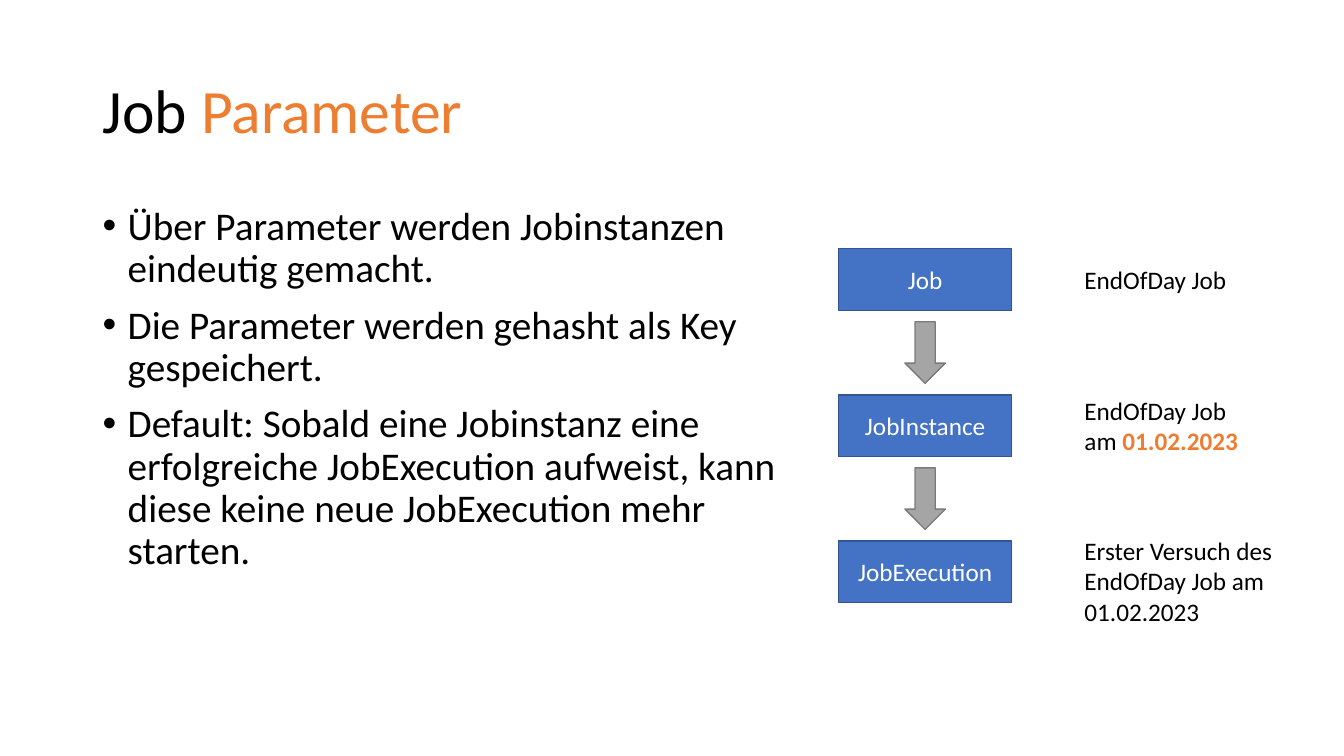
from lxml import etree
from pptx import Presentation
from pptx.dml.color import RGBColor
from pptx.enum.shapes import MSO_SHAPE
from pptx.enum.text import MSO_ANCHOR, MSO_AUTO_SIZE, PP_ALIGN
from pptx.oxml.ns import qn
from pptx.util import Cm, Pt

BLACK, WHITE, ORANGE = "000000", "FFFFFF", "ED7D31"
BLUE, DARK_BLUE, GREY, DARK_GREY = "4472C4", "325491", "A5A5A5", "7A7A7A"

TITLE = [("Job ", {}), ("Parameter", {"color": ORANGE})]
BULLETS = [
    "Über Parameter werden Jobinstanzen eindeutig gemacht.",
    "Die Parameter werden gehasht als Key gespeichert.",
    "Default: Sobald eine Jobinstanz eine erfolgreiche JobExecution aufweist, "
    "kann diese keine neue JobExecution mehr starten.",
]
# Box name, label spans, label width, label height, label shift down, wrapped
STEPS = [
    ("Job", [("EndOfDay Job", {})], 4.14, 1.02, 0, False),
    ("JobInstance",
     [("EndOfDay Job am ", {}), ("01.02.2023", {"color": ORANGE, "bold": True})],
     4.83, 1.8, 0, True),
    ("JobExecution", [("Erster Versuch des EndOfDay Job am 01.02.2023", {})],
     5.46, 2.57, 0.25, True),
]

BOX_LEFT, BOX_TOP, BOX_WIDTH, BOX_HEIGHT = 21.13, 6.27, 4.37, 1.55
STEP_PITCH = 3.68
ARROW_WIDTH, ARROW_HEIGHT = 1.02, 1.55
LABEL_LEFT = 27.08


def rgb(value):
    return RGBColor.from_string(value)


def place(shape, left, top, width, height):
    shape.left, shape.top = Cm(left), Cm(top)
    shape.width, shape.height = Cm(width), Cm(height)


def write(para, spans, size, color=BLACK):
    for text, changes in spans:
        span = para.add_run()
        span.text = text
        look = {"name": "Calibri", "size": Pt(size), "color": color, **changes}
        span.font.color.rgb = rgb(look.pop("color"))
        for name, value in look.items():
            setattr(span.font, name, value)


def add_figure(page, kind, area, fill, line):
    figure = page.shapes.add_shape(kind, *map(Cm, area))
    figure.shadow.inherit = False
    figure.fill.solid()
    figure.fill.fore_color.rgb = rgb(fill)
    figure.line.color.rgb = rgb(line)
    figure.line.width = Pt(1)
    return figure


def add_bullet(para):
    props = para._p.get_or_add_pPr()
    props.set("marL", str(Cm(0.635)))
    props.set("indent", str(-Cm(0.635)))
    etree.SubElement(props, qn("a:buFont")).set("typeface", "Arial")
    etree.SubElement(props, qn("a:buChar")).set("char", "•")


def fill_title(title):
    place(title, 2.33, 1.02, 29.21, 3.68)
    frame = title.text_frame
    frame.vertical_anchor = MSO_ANCHOR.MIDDLE
    frame.auto_size = MSO_AUTO_SIZE.NONE
    para = frame.paragraphs[0]
    para.alignment = PP_ALIGN.LEFT
    para.line_spacing = 0.9
    write(para, TITLE, 44)


def fill_body(body):
    place(body, 2.33, 5.08, 18.06, 12.09)
    frame = body.text_frame
    frame.auto_size = MSO_AUTO_SIZE.NONE
    for index, text in enumerate(BULLETS):
        para = frame.add_paragraph() if index else frame.paragraphs[0]
        add_bullet(para)
        para.line_spacing = 0.9
        para.space_before = Pt(10 if index else 0)
        write(para, [(text, {})], 28)


def add_step(page, index, name, label, width, height, shift, wrapped):
    top = BOX_TOP + index * STEP_PITCH
    box = add_figure(page, MSO_SHAPE.RECTANGLE,
                     (BOX_LEFT, top, BOX_WIDTH, BOX_HEIGHT), BLUE, DARK_BLUE)
    box.text_frame.vertical_anchor = MSO_ANCHOR.MIDDLE
    para = box.text_frame.paragraphs[0]
    para.alignment = PP_ALIGN.CENTER
    write(para, [(name, {})], 18, WHITE)

    if index:
        arrow_left = BOX_LEFT + (BOX_WIDTH - ARROW_WIDTH) / 2
        arrow_top = top - (STEP_PITCH - BOX_HEIGHT + ARROW_HEIGHT) / 2
        add_figure(page, MSO_SHAPE.DOWN_ARROW,
                   (arrow_left, arrow_top, ARROW_WIDTH, ARROW_HEIGHT),
                   GREY, DARK_GREY)

    label_top = top + (BOX_HEIGHT - height) / 2 + shift
    note = page.shapes.add_textbox(*map(Cm, (LABEL_LEFT, label_top, width, height)))
    note.text_frame.word_wrap = wrapped
    note.text_frame.auto_size = MSO_AUTO_SIZE.SHAPE_TO_FIT_TEXT
    write(note.text_frame.paragraphs[0], label, 18)


def main():
    deck = Presentation()
    deck.slide_width, deck.slide_height = Cm(33.87), Cm(19.05)
    page = deck.slides.add_slide(deck.slide_layouts[1])
    fill_title(page.shapes.title)
    fill_body(page.placeholders[1])
    for index, step in enumerate(STEPS):
        add_step(page, index, *step)
    deck.save("out.pptx")


if __name__ == "__main__":
    main()
